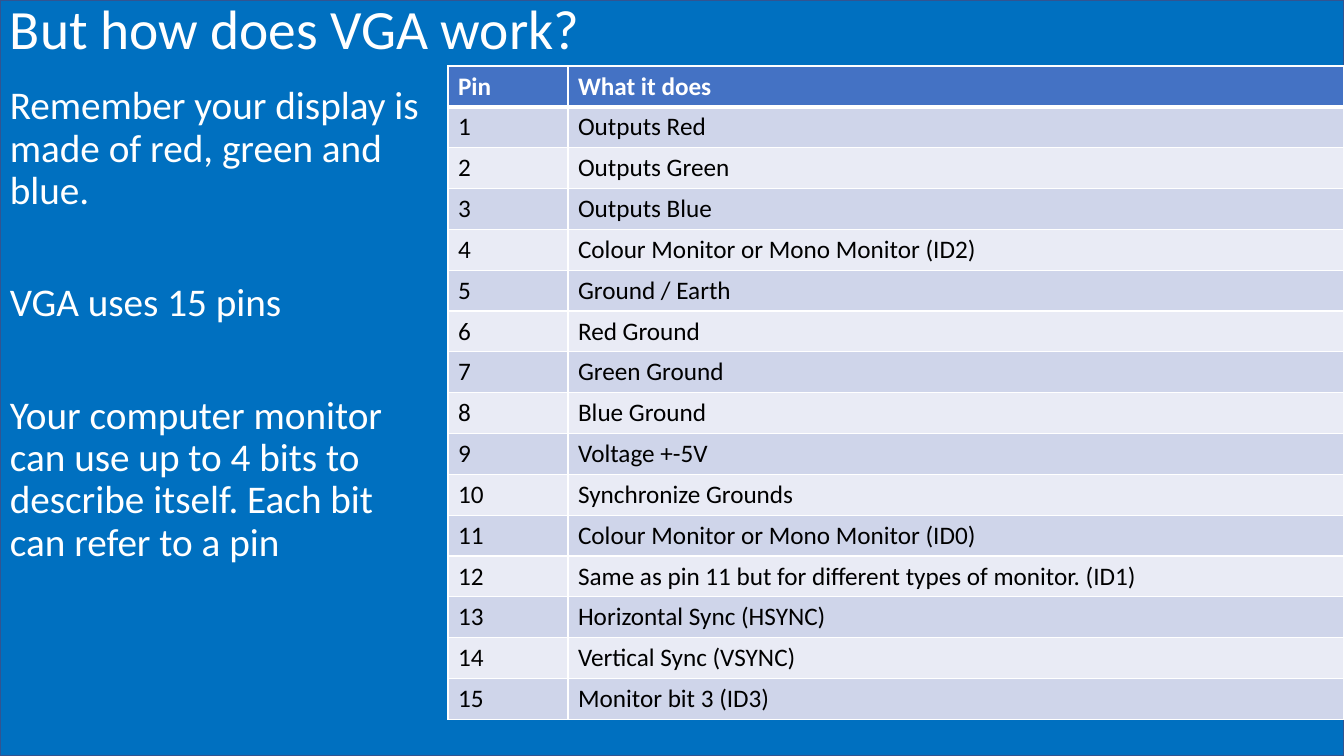
import pptx
import pptx.dml.color
import pptx.enum.shapes
import pptx.enum.text
import pptx.oxml.ns
import pptx.util
from lxml import etree

PX = 914400 / 100.8
FONT = "Calibri"
COLORS = {
    "background": "0070C0",
    "outline": "325491",
    "white": "FFFFFF",
    "black": "000000",
    "header": "4472C4",
    "odd": "CFD5EA",
    "even": "E9EBF5",
}
INTRO = [
    "Remember your display is made of red, green and blue.",
    "VGA uses 15 pins",
    "Your computer monitor can use up to 4 bits to describe itself. "
    "Each bit can refer to a pin",
]
PIN_ROLES = [
    "Outputs Red",
    "Outputs Green",
    "Outputs Blue",
    "Colour Monitor or Mono Monitor (ID2)",
    "Ground / Earth",
    "Red Ground",
    "Green Ground",
    "Blue Ground",
    "Voltage +-5V",
    "Synchronize Grounds",
    "Colour Monitor or Mono Monitor (ID0)",
    "Same as pin 11 but for different types of monitor. (ID1)",
    "Horizontal Sync (HSYNC)",
    "Vertical Sync (VSYNC)",
    "Monitor bit 3 (ID3)",
]


def px(n):
    return pptx.util.Emu(round(n * PX))


def rgb(name):
    return pptx.dml.color.RGBColor.from_string(COLORS[name])


def style_font(font, size, color, bold=False):
    font.name = FONT
    font.size = pptx.util.Pt(size)
    font.bold = bold
    font.color.rgb = rgb(color)


def add_background(s, w, h):
    sp = s.shapes.add_shape(
        pptx.enum.shapes.MSO_SHAPE.RECTANGLE, 0, 0, px(w), px(h))
    sp.shadow.inherit = False
    sp.fill.solid()
    sp.fill.fore_color.rgb = rgb("background")
    sp.line.color.rgb = rgb("outline")
    sp.line.width = pptx.util.Pt(1)


def add_text(s, x, y, w, h, paragraphs, size, anchor, gap=0):
    """Add white text; gap is the space in points between paragraphs."""
    tf = s.shapes.add_textbox(px(x), px(y), px(w), px(h)).text_frame
    tf.word_wrap = True
    tf.vertical_anchor = anchor
    for i, text in enumerate(paragraphs):
        p = tf.add_paragraph() if i else tf.paragraphs[0]
        p.text = text
        p.line_spacing = 0.9
        p.space_before = pptx.util.Pt(gap if i else 0)
        style_font(p.runs[0].font, size, "white")


def add_border(cell, side, width):
    """Add a white border; sides must be added in the order L, R, T, B."""
    tc_pr = cell._tc.get_or_add_tcPr()
    ln = etree.SubElement(tc_pr, pptx.oxml.ns.qn(f"a:ln{side}"),
                          w=str(pptx.util.Pt(width)))
    fill = etree.SubElement(ln, pptx.oxml.ns.qn("a:solidFill"))
    etree.SubElement(fill, pptx.oxml.ns.qn("a:srgbClr"), val=COLORS["white"])


def format_cell(cell, row):
    header = row == 0
    style_font(cell.text_frame.paragraphs[0].runs[0].font, 18,
               "white" if header else "black", header)
    for side in "LRTB":
        under_header = (row, side) in ((0, "B"), (1, "T"))
        add_border(cell, side, 3 if under_header else 1)
    cell.fill.solid()
    cell.fill.fore_color.rgb = rgb(
        "header" if header else "odd" if row % 2 else "even")


def add_table(s, x, y, widths, h, rows):
    table = s.shapes.add_table(len(rows), len(widths), px(x), px(y),
                               px(sum(widths)), px(h)).table
    for column, width in zip(table.columns, widths):
        column.width = px(width)
    for i, values in enumerate(rows):
        table.rows[i].height = px(h / len(rows))
        for j, value in enumerate(values):
            cell = table.cell(i, j)
            cell.text = value
            format_cell(cell, i)


def main():
    prs = pptx.Presentation()
    prs.slide_width, prs.slide_height = px(1344), px(756)
    s = prs.slides.add_slide(prs.slide_layouts[6])
    anchor = pptx.enum.text.MSO_ANCHOR
    add_background(s, 1344, 756)
    add_text(s, 0, 0, 1344, 63, ["But how does VGA work?"], 39.6,
             anchor.MIDDLE)
    add_text(s, 0, 81, 434, 675, INTRO, 28, anchor.TOP, gap=50)
    pins = [(str(n), role) for n, role in enumerate(PIN_ROLES, 1)]
    add_table(s, 448, 66, [120, 776], 654, [("Pin", "What it does"), *pins])
    prs.save("out.pptx")


if __name__ == "__main__":
    main()
